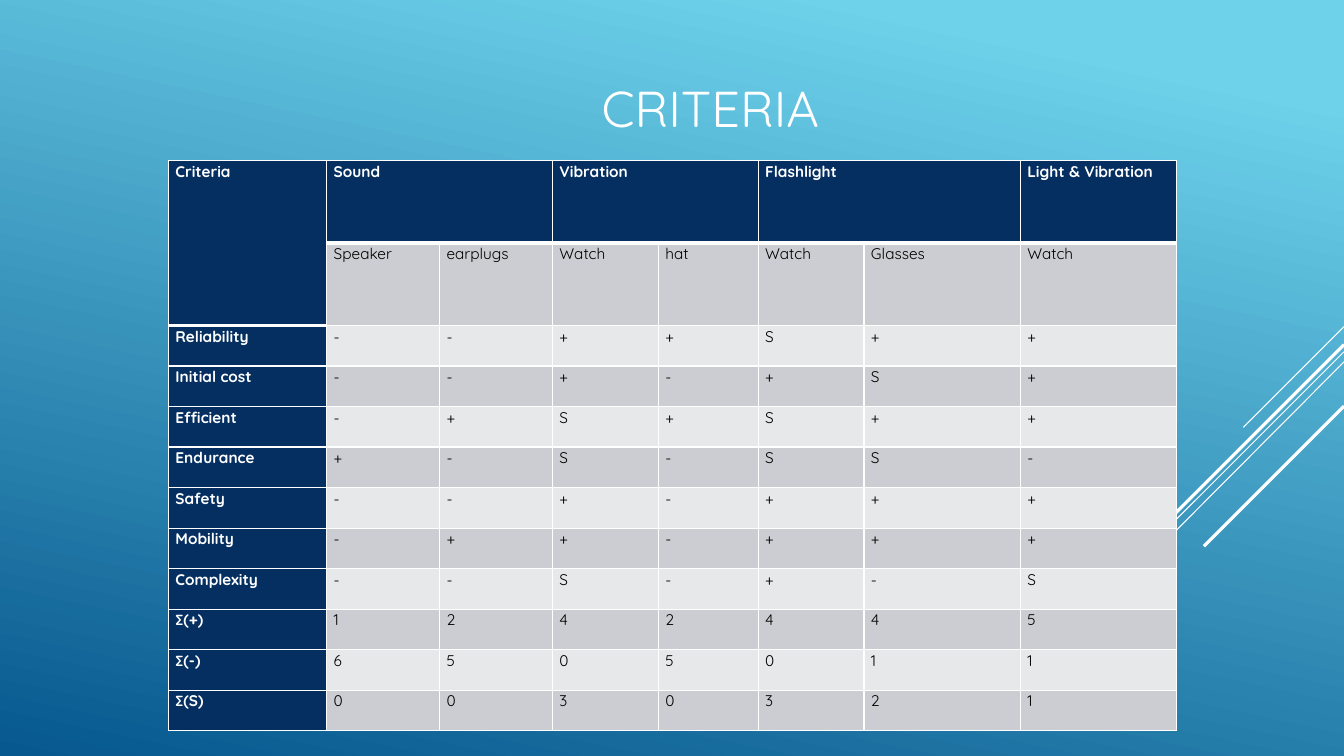
from lxml import etree
from pptx import Presentation
from pptx.dml.color import RGBColor
from pptx.enum.shapes import MSO_CONNECTOR
from pptx.enum.text import MSO_ANCHOR, PP_ALIGN
from pptx.oxml.ns import qn
from pptx.util import Inches, Pt

FONT = "Quicksand"
WHITE, BLACK, NAVY = "FFFFFF", "000000", "052F61"
DARK_BAND, LIGHT_BAND = "CCCDD2", "E7E8EA"

STRIPES = [  # start x, start y, end x, end y, width in points
    (13.33, 3.24, 12.33, 4.24, 0.75),
    (13.33, 3.49, 10.07, 6.75, 0.75),
    (13.33, 3.59, 11.26, 5.67, 0.75),
    (13.33, 3.42, 11.42, 5.33, 2.25),
    (13.33, 4.03, 11.94, 5.42, 2.25),
]
COLUMN_WIDTHS = [1.57, 1.12, 1.12, 1.05, 0.99, 1.05, 1.55, 1.55]
TABLE_HEIGHT, HEADER_HEIGHT, HEADER_ROWS = 5.66, 0.82, 2
ROWS = [
    ["Criteria", "Sound", "", "Vibration", "", "Flashlight", "", "Light & Vibration"],
    ["", "Speaker", "earplugs", "Watch", "hat", "Watch", "Glasses", "Watch"],
    ["Reliability", *"--++S++"],
    ["Initial cost", *"--+-+S+"],
    ["Efficient", *"-+S+S++"],
    ["Endurance", *"+-S-SS-"],
    ["Safety", *"--+-+++"],
    ["Mobility", *"-++-+++"],
    ["Complexity", *"--S-+-S"],
    ["∑(+)", *"1242445"],
    ["∑(-)", *"6505011"],
    ["∑(S)", *"0030321"],
]
MERGES = [((0, 0), (1, 0)), ((0, 1), (0, 2)), ((0, 3), (0, 4)), ((0, 5), (0, 6))]


def rgb(color):
    return RGBColor.from_string(color)


def set_font(paragraph, size, color, bold=False):
    font = paragraph.font
    font.name, font.size, font.bold = FONT, Pt(size), bold
    font.color.rgb = rgb(color)


def paint_background(slide):
    fill = slide.background.fill
    fill.gradient()
    fill.gradient_angle = 258
    for stop, (position, color) in zip(fill.gradient_stops, [(0.1, "6ED2EB"), (1, "06588E")]):
        stop.position = position
        stop.color.rgb = rgb(color)


def add_stripe(slide, start_x, start_y, end_x, end_y, width):
    ends = [Inches(value) for value in (start_x, start_y, end_x, end_y)]
    stripe = slide.shapes.add_connector(MSO_CONNECTOR.STRAIGHT, *ends)
    stripe.line.color.rgb = rgb(WHITE)
    stripe.line.width = Pt(width)
    etree.SubElement(stripe._element.spPr, qn("a:effectLst"))


def add_title(slide, text):
    box = slide.shapes.add_textbox(Inches(0.75), Inches(0.67), Inches(12.59), Inches(0.8))
    frame = box.text_frame
    frame.word_wrap = True
    frame.vertical_anchor = MSO_ANCHOR.MIDDLE
    paragraph = frame.paragraphs[0]
    paragraph.text = text
    paragraph.alignment = PP_ALIGN.CENTER
    set_font(paragraph, 36, WHITE)


def set_borders(cell, bottom_width):
    """Draw white borders; they must precede the fill in the cell properties."""
    properties = cell._tc.get_or_add_tcPr()
    widths = {"a:lnL": 1, "a:lnR": 1, "a:lnT": 1, "a:lnB": bottom_width}
    for index, (tag, width) in enumerate(widths.items()):
        line = etree.Element(qn(tag), w=str(Pt(width)))
        fill = etree.SubElement(line, qn("a:solidFill"))
        etree.SubElement(fill, qn("a:srgbClr"), val=WHITE)
        properties.insert(index, line)


def style_cell(cell, text, row, column):
    is_header = row == 0 or column == 0
    band = DARK_BAND if row % 2 else LIGHT_BAND
    cell.fill.solid()
    cell.fill.fore_color.rgb = rgb(NAVY if is_header else band)
    set_borders(cell, 3 if row == 0 or (row, column) == (1, 0) else 1)
    cell.margin_left = cell.margin_right = Inches(0.07)
    cell.margin_top = cell.margin_bottom = 0
    paragraph = cell.text_frame.paragraphs[0]
    if text:
        paragraph.text = text
    paragraph.line_spacing = 1.07
    paragraph.space_after = Pt(8)
    set_font(paragraph, 11, WHITE if is_header else BLACK, is_header)


def add_criteria_table(slide):
    table = slide.shapes.add_table(
        len(ROWS), len(COLUMN_WIDTHS), Inches(1.67), Inches(1.59),
        Inches(sum(COLUMN_WIDTHS)), Inches(TABLE_HEIGHT)).table
    for column, width in zip(table.columns, COLUMN_WIDTHS):
        column.width = Inches(width)
    body_height = (TABLE_HEIGHT - HEADER_ROWS * HEADER_HEIGHT) / (len(ROWS) - HEADER_ROWS)
    for row, texts in enumerate(ROWS):
        table.rows[row].height = Inches(HEADER_HEIGHT if row < HEADER_ROWS else body_height)
        for column, text in enumerate(texts):
            style_cell(table.cell(row, column), text, row, column)
    for first, last in MERGES:
        table.cell(*first).merge(table.cell(*last))


def main():
    presentation = Presentation()
    presentation.slide_width = Inches(13.33)
    presentation.slide_height = Inches(7.5)
    slide = presentation.slides.add_slide(presentation.slide_layouts[6])
    paint_background(slide)
    for stripe in STRIPES:
        add_stripe(slide, *stripe)
    add_title(slide, "CRITERIA")
    add_criteria_table(slide)
    presentation.save("out.pptx")


if __name__ == "__main__":
    main()
